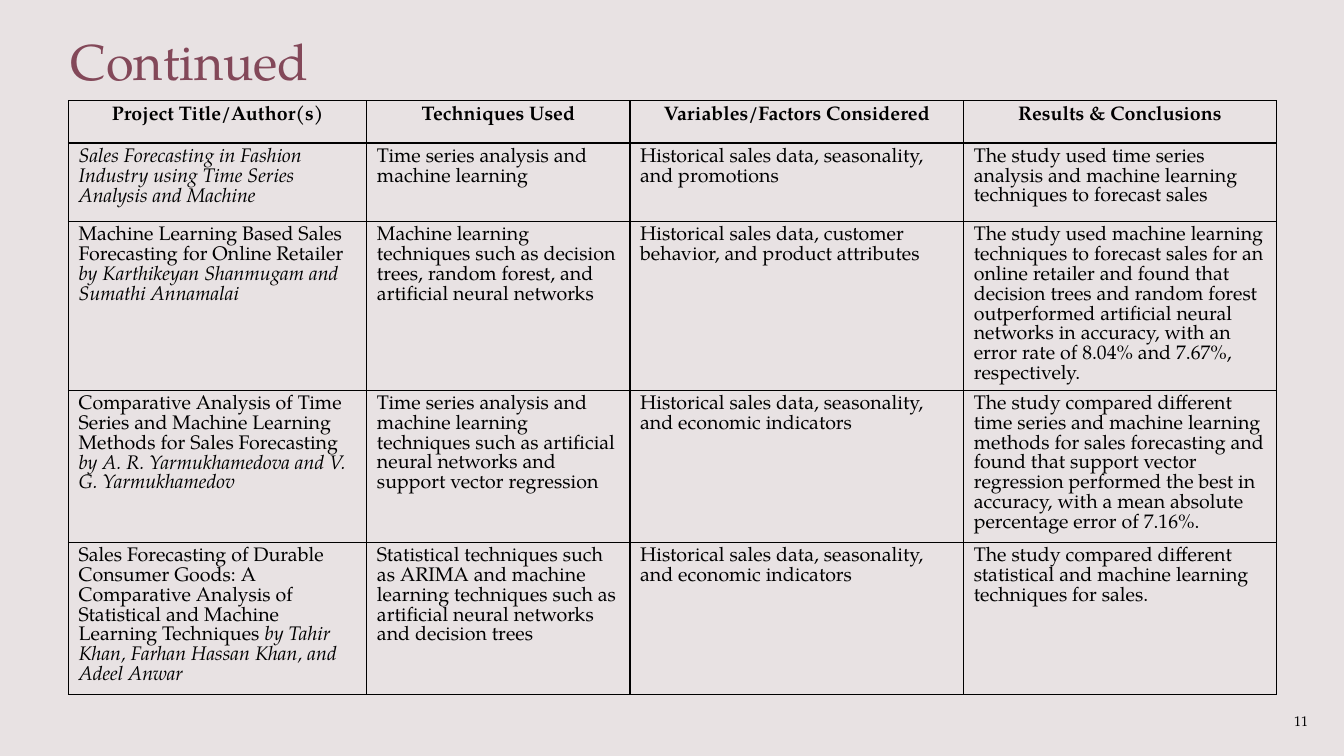
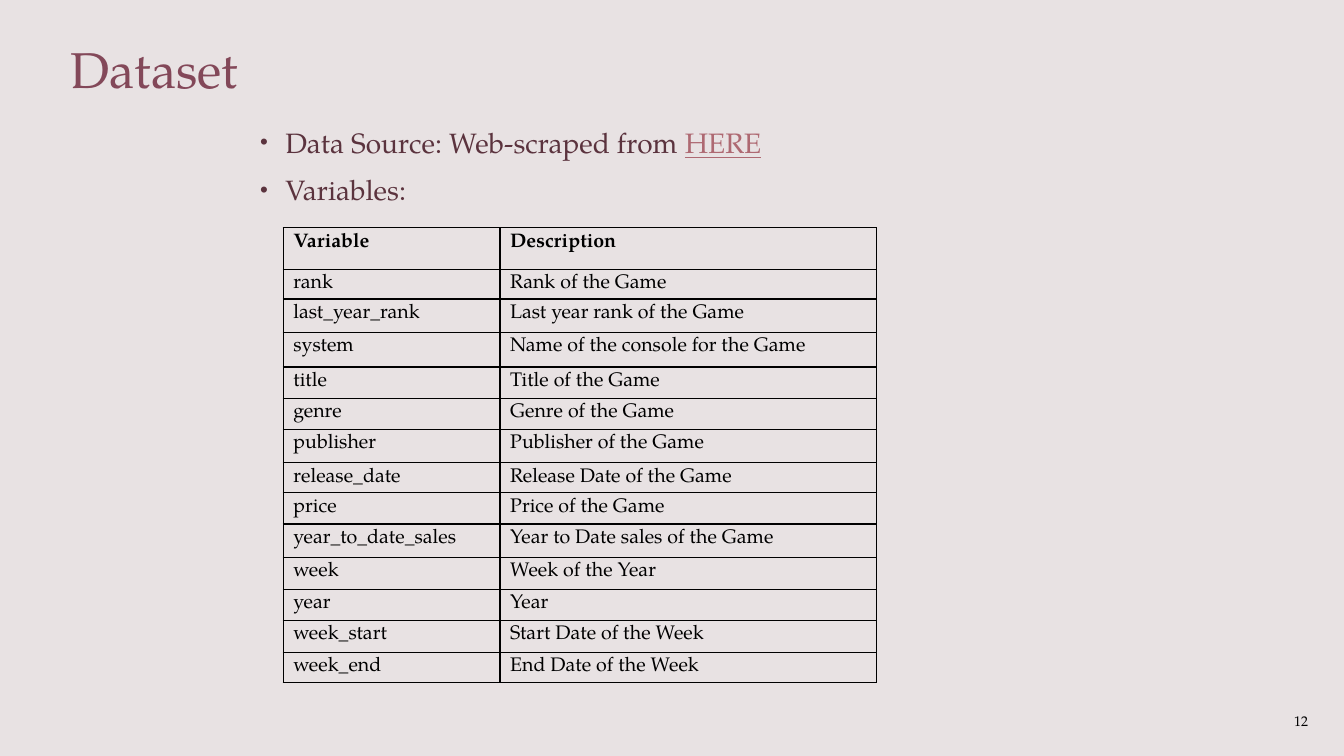
from lxml.etree import SubElement
from pptx import Presentation
from pptx.dml.color import RGBColor
from pptx.enum.text import MSO_ANCHOR as Anchor, MSO_AUTO_SIZE as AutoSize, PP_ALIGN as Align
from pptx.oxml import parse_xml
from pptx.oxml.ns import nsdecls, qn
from pptx.util import Inches, Pt

WIDTH, HEIGHT = Inches(13.33), Inches(7.5)
FONT = "TeX Gyre Pagella"
BACKGROUND = RGBColor(0xE8, 0xE2, 0xE3)
HEADING = RGBColor(0x83, 0x48, 0x59)
BODY = RGBColor(0x5B, 0x33, 0x3E)
LINK = RGBColor(0xAE, 0x69, 0x72)
BLACK = RGBColor(0, 0, 0)
TITLE_ONLY, TITLE_AND_BODY = 5, 1
FIRST_PAGE = 11

STUDIES = [
    ("Project Title/Author(s)", "Techniques Used", "Variables/Factors Considered", "Results & Conclusions"),
    (("", "Sales Forecasting in Fashion Industry using Time Series Analysis and Machine"),
     "Time series analysis and machine learning",
     "Historical sales data, seasonality, and promotions",
     "The study used time series analysis and machine learning techniques to forecast sales"),
    (("Machine Learning Based Sales Forecasting for Online Retailer ",
      "by Karthikeyan Shanmugam and Sumathi Annamalai"),
     "Machine learning techniques such as decision trees, random forest, and artificial neural networks",
     "Historical sales data, customer behavior, and product attributes",
     "The study used machine learning techniques to forecast sales for an online retailer and found that "
     "decision trees and random forest outperformed artificial neural networks in accuracy, with an error "
     "rate of 8.04% and 7.67%, respectively."),
    (("Comparative Analysis of Time Series and Machine Learning Methods for Sales Forecasting ",
      "by A. R. Yarmukhamedova and V. G. Yarmukhamedov"),
     "Time series analysis and machine learning techniques such as artificial neural networks and support "
     "vector regression",
     "Historical sales data, seasonality, and economic indicators",
     "The study compared different time series and machine learning methods for sales forecasting and found "
     "that support vector regression performed the best in accuracy, with a mean absolute percentage error "
     "of 7.16%."),
    (("Sales Forecasting of Durable Consumer Goods: A Comparative Analysis of Statistical and Machine "
      "Learning Techniques ", "by Tahir Khan, Farhan Hassan Khan, and Adeel Anwar"),
     "Statistical techniques such as ARIMA and machine learning techniques such as artificial neural "
     "networks and decision trees",
     "Historical sales data, seasonality, and economic indicators",
     "The study compared different statistical and machine learning techniques for sales."),
]
STUDY_COLUMNS = (22.2, 19.58, 24.83, 23.26)
STUDY_ROWS = (5.6, 10.4, 20.13, 20.13, 20.13)

VARIABLES = [
    ("Variable", "Description"),
    ("rank", "Rank of the Game"),
    ("last_year_rank", "Last year rank of the Game"),
    ("system", "Name of the console for the Game"),
    ("title", "Title of the Game"),
    ("genre", "Genre of the Game"),
    ("publisher", "Publisher of the Game"),
    ("release_date", "Release Date of the Game"),
    ("price", "Price of the Game"),
    ("year_to_date_sales", "Year to Date sales of the Game"),
    ("week", "Week of the Year"),
    ("year", "Year"),
    ("week_start", "Start Date of the Week"),
    ("week_end", "End Date of the Week"),
]
VARIABLE_COLUMNS = (16.13, 27.98)
VARIABLE_ROWS = (5.47, 3.93, 4.4, 4.6, 4.13, 4.13, 4.4, 3.97, 4.13, 4.47, 4.2, 4.13, 4.2, 4)


def across(percent):
    return round(WIDTH * percent / 100)


def down(percent):
    return round(HEIGHT * percent / 100)


def box(left, top, width, height):
    return across(left), down(top), across(width), down(height)


def write(paragraph, text, size=14, color=BLACK, bold=False, italic=False, underline=False):
    run = paragraph.add_run()
    run.text = text
    font = run.font
    font.name, font.size, font.color.rgb = FONT, Pt(size), color
    font.bold, font.italic, font.underline = bold, italic, underline


def place(placeholder, area):
    placeholder.left, placeholder.top, placeholder.width, placeholder.height = box(*area)
    frame = placeholder.text_frame
    frame.word_wrap, frame.auto_size, frame.vertical_anchor = True, AutoSize.NONE, Anchor.TOP
    return frame


def add_page(deck, layout, heading, area, line_spacing):
    page = deck.slides.add_slide(deck.slide_layouts[layout])
    line = place(page.shapes.title, area).paragraphs[0]
    line.alignment, line.line_spacing = Align.LEFT, line_spacing
    write(line, heading, size=36, color=HEADING)
    number = page.shapes.add_textbox(*box(94.45, 92.67, 4.73, 5.33)).text_frame
    number.word_wrap, number.vertical_anchor = True, Anchor.MIDDLE
    number.paragraphs[0].alignment = Align.CENTER
    number.paragraphs[0].space_after = Pt(6)
    write(number.paragraphs[0], str(FIRST_PAGE + len(deck.slides) - 1), size=10)
    return page


def outline(cell):
    properties = cell._tc.get_or_add_tcPr()
    for position, side in enumerate(("lnL", "lnR", "lnT", "lnB")):
        properties.insert(position, parse_xml(
            f'<a:{side} {nsdecls("a")} w="{Pt(1)}"><a:solidFill>'
            f'<a:srgbClr val="{BLACK}"/></a:solidFill></a:{side}>'))


def fill_cell(cell, content, header, header_align):
    cell.fill.background()
    outline(cell)
    line = cell.text_frame.paragraphs[0]
    line.line_spacing = Pt(14.14)
    line.alignment = header_align if header else Align.LEFT
    plain, slanted = (content, "") if isinstance(content, str) else content
    if plain:
        write(line, plain, bold=header)
    if slanted:
        write(line, slanted, italic=True)


def add_grid(page, left, top, columns, rows, entries, header_align):
    area = box(left, top, sum(columns), sum(rows))
    grid = page.shapes.add_table(len(rows), len(columns), *area).table
    grid.horz_banding = False
    for column, width in zip(grid.columns, columns):
        column.width = across(width)
    for index, (row, height, contents) in enumerate(zip(grid.rows, rows, entries)):
        row.height = down(height)
        for cell, content in zip(row.cells, contents):
            fill_cell(cell, content, index == 0, header_align)


def format_bullet(line):
    line.space_before, line.space_after = Pt(10), Pt(0)
    properties = line._p.get_or_add_pPr()
    properties.set("marL", str(Inches(0.25)))
    properties.set("indent", str(-Inches(0.25)))
    SubElement(properties, qn("a:buSzPct")).set("val", "80000")
    SubElement(properties, qn("a:buFont")).set("typeface", "Arial")
    SubElement(properties, qn("a:buChar")).set("char", "•")


def add_bullets(page, area, bullets):
    frame = place(page.placeholders[1], area)
    for index, parts in enumerate(bullets):
        line = frame.add_paragraph() if index else frame.paragraphs[0]
        format_bullet(line)
        for text, look in parts:
            write(line, text, size=20, **look)


def main():
    deck = Presentation()
    deck.slide_width, deck.slide_height = WIDTH, HEIGHT
    backdrop = deck.slide_master.background.fill
    backdrop.solid()
    backdrop.fore_color.rgb = BACKGROUND

    studies = add_page(deck, TITLE_ONLY, "Continued", (4.5, 4.8, 27.5, 8.4), 0.8)
    add_grid(studies, 5.1, 13.33, STUDY_COLUMNS, STUDY_ROWS, STUDIES, Align.CENTER)

    dataset = add_page(deck, TITLE_AND_BODY, "Dataset", (4.5, 5.33, 33, 16.53), 0.9)
    plain, link = {"color": BODY}, {"color": LINK, "underline": True}
    add_bullets(dataset, (18.6, 15.87, 55, 71.73), [
        [("Data Source: Web-scraped from ", plain), ("HERE", link)],
        [("Variables:", plain)],
    ])
    add_grid(dataset, 21.08, 30.13, VARIABLE_COLUMNS, VARIABLE_ROWS, VARIABLES, Align.LEFT)
    deck.save("out.pptx")


if __name__ == "__main__":
    main()
